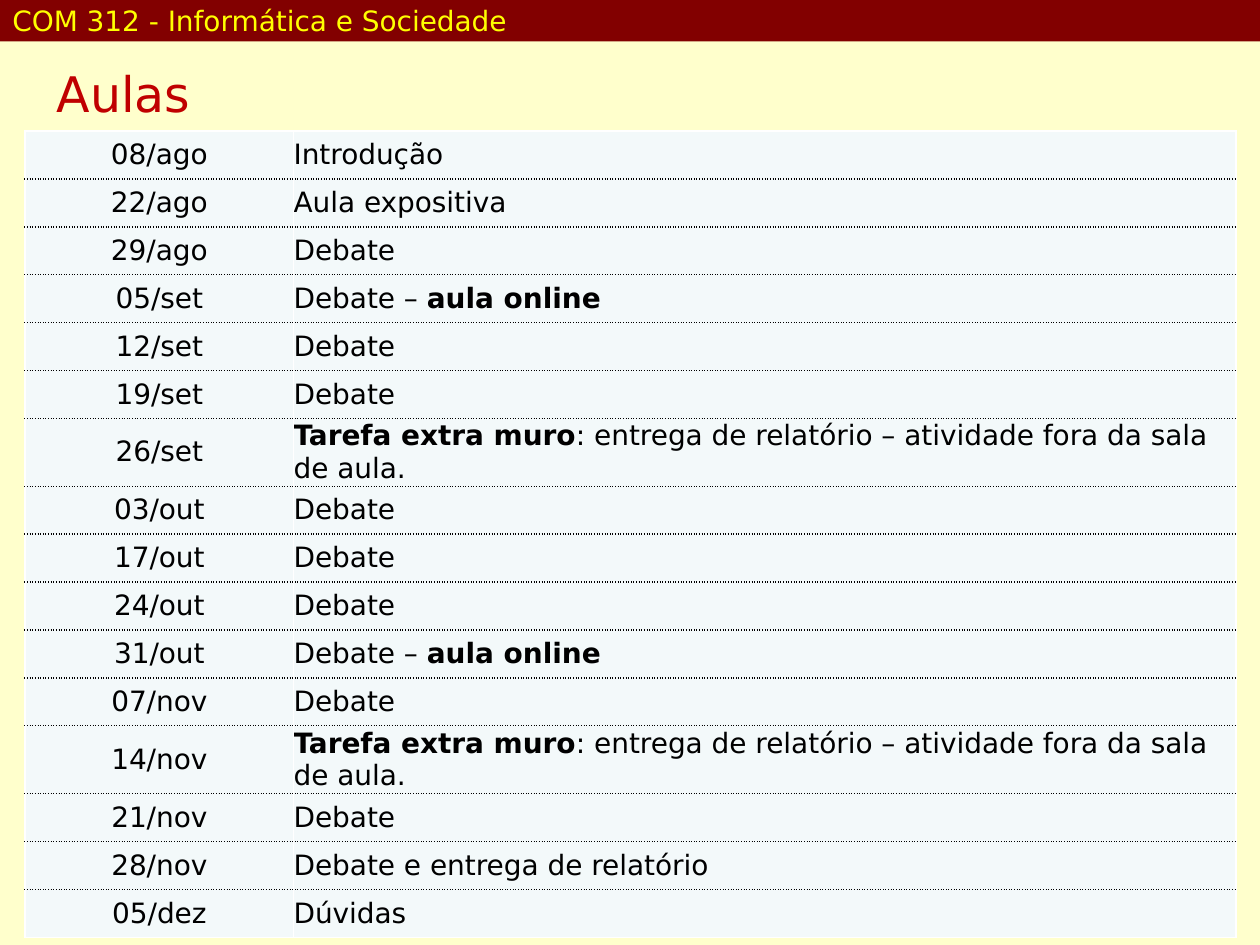
"""Build the class schedule slide for COM 312."""
from typing import NamedTuple

from lxml.etree import SubElement
from pptx import Presentation
from pptx.dml.color import RGBColor as Rgb
from pptx.enum.shapes import MSO_SHAPE as Shape
from pptx.enum.text import MSO_ANCHOR as Anchor, MSO_AUTO_SIZE as AutoSize, PP_ALIGN as Align
from pptx.oxml.ns import qn
from pptx.util import Inches, Pt

FONT = "DejaVu Sans"
COLORS = {
    "page": "FFFFCC", "banner": "820000", "course": "FFFF00", "title": "C00000",
    "cell": "F3F9FA", "text": "000000", "edge": "FFFFFF", "rule": "000000",
}
ROW_HEIGHT, TALL_ROW_HEIGHT = 0.38, 0.54
COLUMN_WIDTHS = (2.13, 7.48)


class Lesson(NamedTuple):
    date: str
    plain: str = "Debate"
    lead: str = ""
    ending: str = ""


def homework(date: str) -> Lesson:
    return Lesson(date, ": entrega de relatório – atividade fora da sala de aula.",
                  lead="Tarefa extra muro")


def online(date: str) -> Lesson:
    return Lesson(date, "Debate – ", ending="aula online")


LESSONS = [
    Lesson("08/ago", "Introdução"),
    Lesson("22/ago", "Aula expositiva"),
    Lesson("29/ago"),
    online("05/set"),
    Lesson("12/set"),
    Lesson("19/set"),
    homework("26/set"),
    Lesson("03/out"),
    Lesson("17/out"),
    Lesson("24/out"),
    online("31/out"),
    Lesson("07/nov"),
    homework("14/nov"),
    Lesson("21/nov"),
    Lesson("28/nov", "Debate e entrega de relatório"),
    Lesson("05/dez", "Dúvidas"),
]


def color(name: str) -> Rgb:
    return Rgb.from_string(COLORS[name])


def add_text(para, text: str, *, size: float = 16, ink: str = "text", bold: bool = False,
             align: Align = Align.LEFT) -> None:
    para.alignment = align
    span = para.add_run()
    span.text = text
    span.font.name = FONT
    span.font.size = Pt(size)
    span.font.bold = bold
    span.font.color.rgb = color(ink)


def add_border(cell, side: str, ink: str, dash: str) -> None:
    line = SubElement(cell._tc.get_or_add_tcPr(), qn(f"a:ln{side}"), w=str(Pt(1)))
    SubElement(SubElement(line, qn("a:solidFill")), qn("a:srgbClr"), val=COLORS[ink])
    SubElement(line, qn("a:prstDash"), val=dash)


def format_cell(cell, first: bool, last: bool) -> None:
    edge, rule = ("edge", "solid"), ("rule", "sysDot")
    borders = {"L": edge, "R": edge, "T": edge if first else rule, "B": edge if last else rule}
    for side, (ink, dash) in borders.items():
        add_border(cell, side, ink, dash)
    cell.fill.solid()
    cell.fill.fore_color.rgb = color("cell")
    cell.vertical_anchor = Anchor.MIDDLE
    cell.margin_left = cell.margin_right = cell.margin_top = cell.margin_bottom = 0


def add_banner(page) -> None:
    banner = page.shapes.add_shape(Shape.RECTANGLE, 0, 0, Inches(10), Inches(0.33))
    banner.shadow.inherit = False
    banner.fill.solid()
    banner.fill.fore_color.rgb = color("banner")
    banner.line.fill.background()
    frame = banner.text_frame
    frame.word_wrap = False
    frame.vertical_anchor = Anchor.MIDDLE
    add_text(frame.paragraphs[0], "COM 312 - Informática e Sociedade", ink="course")


def add_title(page) -> None:
    title = page.shapes.title
    title.left, title.top = Inches(0.35), Inches(0.45)
    title.width, title.height = Inches(5.75), Inches(0.57)
    frame = title.text_frame
    frame.word_wrap = True
    frame.auto_size = AutoSize.SHAPE_TO_FIT_TEXT
    frame.vertical_anchor = Anchor.TOP
    add_text(frame.paragraphs[0], "Aulas", size=28, ink="title")


def add_schedule(page) -> None:
    heights = [TALL_ROW_HEIGHT if lesson.lead else ROW_HEIGHT for lesson in LESSONS]
    schedule = page.shapes.add_table(
        len(LESSONS), len(COLUMN_WIDTHS), Inches(0.2), Inches(1.04),
        Inches(sum(COLUMN_WIDTHS)), Inches(sum(heights))).table
    schedule.first_row = schedule.horz_banding = False
    for column, width in zip(schedule.columns, COLUMN_WIDTHS):
        column.width = Inches(width)
    for index, (lesson, height) in enumerate(zip(LESSONS, heights)):
        row = schedule.rows[index]
        row.height = Inches(height)
        for cell in row.cells:
            format_cell(cell, index == 0, index == len(LESSONS) - 1)
        date_para, topic_para = (cell.text_frame.paragraphs[0] for cell in row.cells)
        add_text(date_para, lesson.date, align=Align.CENTER)
        for text, bold in ((lesson.lead, True), (lesson.plain, False), (lesson.ending, True)):
            if text:
                add_text(topic_para, text, bold=bold)


def main() -> None:
    deck = Presentation()
    deck.slide_width, deck.slide_height = Inches(10), Inches(7.5)
    page = deck.slides.add_slide(deck.slide_layouts[5])
    page.background.fill.solid()
    page.background.fill.fore_color.rgb = color("page")
    add_banner(page)
    add_title(page)
    add_schedule(page)
    deck.save("out.pptx")


main()
